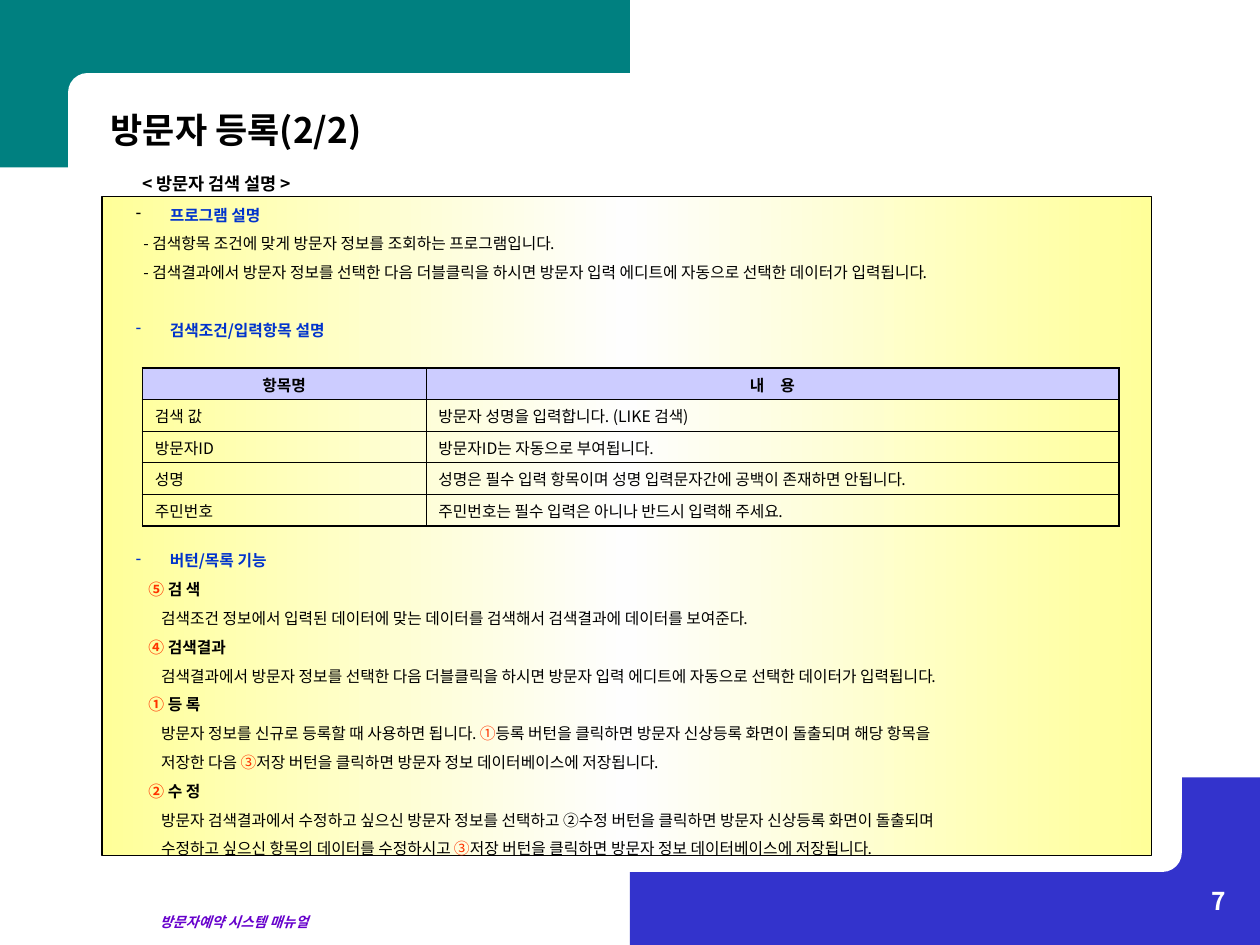
from copy import deepcopy

from lxml.etree import SubElement
from pptx import Presentation
from pptx.dml.color import RGBColor
from pptx.enum.shapes import MSO_SHAPE as Shape
from pptx.enum.text import PP_ALIGN as Align
from pptx.oxml.ns import qn
from pptx.util import Inches, Pt

FONT = "Noto Sans CJK KR"
COLORS = {
    "black": "000000", "white": "FFFFFF", "teal": "008080", "indigo": "3333CC",
    "yellow": "FFFF99", "glow": "FEFEFE", "lavender": "CCCCFF",
    "blue": "0033CC", "red": "FF3300", "purple": "6600CC",
}
LINE_RATIO = 1.207
BODY_SIZE = 9
BODY_GAP = 5.6
BODY_PITCH = BODY_SIZE * LINE_RATIO + BODY_GAP

STYLES = {
    "heading": {"indent": 0.27, "bold": True, "color": "blue"},
    "dash": {"indent": 0.06, "bold": False, "color": "black"},
    "item": {"indent": 0.1, "bold": True, "color": "black"},
    "detail": {"indent": 0.2, "bold": False, "color": "black"},
}
BODY = [
    ("heading", 0, "프로그램 설명"),
    ("dash", 0, "- 검색항목 조건에 맞게 방문자 정보를 조회하는 프로그램입니다."),
    ("dash", 0, "- 검색결과에서 방문자 정보를 선택한 다음 더블클릭을 하시면 방문자 입력 에디트에 자동으로 선택한 데이터가 입력됩니다."),
    ("heading", 1, "검색조건/입력항목 설명"),
    ("heading", 7, "버턴/목록 기능"),
    ("item", 0, "*⑤* 검 색"),
    ("detail", 0, "검색조건 정보에서 입력된 데이터에 맞는 데이터를 검색해서 검색결과에 데이터를 보여준다."),
    ("item", 0, "*④* 검색결과"),
    ("detail", 0, "검색결과에서 방문자 정보를 선택한 다음 더블클릭을 하시면 방문자 입력 에디트에 자동으로 선택한 데이터가 입력됩니다."),
    ("item", 0, "*①* 등 록"),
    ("detail", 0, "방문자 정보를 신규로 등록할 때 사용하면 됩니다. *①*등록 버턴을 클릭하면 방문자 신상등록 화면이 돌출되며 해당 항목을"),
    ("detail", 0, "저장한 다음 *③*저장 버턴을 클릭하면 방문자 정보 데이터베이스에 저장됩니다."),
    ("item", 0, "*②* 수 정"),
    ("detail", 0, "방문자 검색결과에서 수정하고 싶으신 방문자 정보를 선택하고 ②수정 버턴을 클릭하면 방문자 신상등록 화면이 돌출되며"),
    ("detail", 0, "수정하고 싶으신 항목의 데이터를 수정하시고 *③*저장 버턴을 클릭하면 방문자 정보 데이터베이스에 저장됩니다."),
]
FIELDS = [
    ("항목명", "내　용"),
    ("검색 값", "방문자 성명을 입력합니다. (LIKE 검색)"),
    ("방문자ID", "방문자ID는 자동으로 부여됩니다."),
    ("성명", "성명은 필수 입력 항목이며 성명 입력문자간에 공백이 존재하면 안됩니다."),
    ("주민번호", "주민번호는 필수 입력은 아니나 반드시 입력해 주세요."),
]


def rgb(name):
    return RGBColor.from_string(COLORS[name])


def style_paragraph(paragraph, size, color="black", bold=True, italic=False):
    font = paragraph.font
    font.name, font.size, font.bold, font.italic = FONT, Pt(size), bold, italic
    font.color.rgb = rgb(color)
    SubElement(font._element, qn("a:ea"), typeface=FONT)
    paragraph.line_spacing = Pt(round(size * LINE_RATIO, 2))


def add_block(slide, kind, box, color):
    shape = slide.shapes.add_shape(kind, *map(Inches, box))
    shape.shadow.inherit = False
    shape.fill.solid()
    shape.fill.fore_color.rgb = rgb(color)
    shape.line.fill.background()
    return shape


def add_panel(slide, box):
    panel = add_block(slide, Shape.RECTANGLE, box, "yellow")
    panel.line.color.rgb = rgb("black")
    panel.line.width = Pt(0.75)
    panel.fill.gradient()
    panel.fill.gradient_angle = 0
    edge, middle = panel.fill.gradient_stops
    edge.color.rgb = rgb("yellow")
    middle.color.rgb = rgb("glow")
    stops = panel._element.spPr.find(".//" + qn("a:gsLst"))
    stops.append(deepcopy(stops[0]))
    for stop, position in zip(stops, (0, 50000, 100000)):
        stop.set("pos", str(position))


def add_label(slide, box, text, size, color="black", italic=False, align=Align.LEFT):
    frame = slide.shapes.add_textbox(*map(Inches, box)).text_frame
    frame.word_wrap = True
    paragraph = frame.paragraphs[0]
    paragraph.text = text
    paragraph.alignment = align
    style_paragraph(paragraph, size, color, italic=italic)


def add_bullet(properties, color):
    bullet_color = SubElement(properties, qn("a:buClr"))
    SubElement(bullet_color, qn("a:srgbClr"), val=COLORS[color])
    SubElement(properties, qn("a:buChar"), char="-")


def add_body(slide, box):
    frame = slide.shapes.add_textbox(*map(Inches, box)).text_frame
    frame.word_wrap = True
    for index, (kind, skipped_lines, text) in enumerate(BODY):
        paragraph = frame.add_paragraph() if index else frame.paragraphs[0]
        style = STYLES[kind]
        paragraph.space_before = Pt(round(BODY_GAP + skipped_lines * BODY_PITCH, 2))
        properties = paragraph._p.get_or_add_pPr()
        properties.set("marL", str(Inches(style["indent"])))
        properties.set("indent", "0")
        if kind == "heading":
            properties.set("indent", str(-Inches(style["indent"])))
            add_bullet(properties, "blue" if index else "black")
        style_paragraph(paragraph, BODY_SIZE, style["color"], style["bold"])
        for position, part in enumerate(text.split("*")):
            if part:
                run = paragraph.add_run()
                run.text = part
                if position % 2:
                    run.font.color.rgb = rgb("red")


def set_borders(cell, outer_sides):
    properties = cell._tc.get_or_add_tcPr()
    for index, side in enumerate(("L", "R", "T", "B")):
        width = Pt(1.08 if side in outer_sides else 0.45)
        line = SubElement(properties, qn("a:ln" + side), w=str(width))
        fill = SubElement(line, qn("a:solidFill"))
        SubElement(fill, qn("a:srgbClr"), val=COLORS["black"])
        properties.remove(line)
        properties.insert(index, line)


def add_field_table(slide, box, widths):
    rows, columns = len(FIELDS), len(widths)
    table = slide.shapes.add_table(rows, columns, *map(Inches, box)).table
    table.first_row = table.horz_banding = False
    for column, width in zip(table.columns, widths):
        column.width = Inches(width)
    for r, texts in enumerate(FIELDS):
        for c, text in enumerate(texts):
            cell = table.cell(r, c)
            cell.margin_top, cell.margin_bottom = Inches(0.07), Inches(0.03)
            paragraph = cell.text_frame.paragraphs[0]
            paragraph.text = text
            style_paragraph(paragraph, BODY_SIZE, bold=r == 0)
            if r == 0:
                paragraph.alignment = Align.CENTER
                cell.fill.solid()
                cell.fill.fore_color.rgb = rgb("lavender")
            else:
                cell.fill.background()
            edges = {"L": c == 0, "R": c == columns - 1, "T": r == 0, "B": r == rows - 1}
            set_borders(cell, [side for side, outer in edges.items() if outer])


def main():
    presentation = Presentation()
    presentation.slide_width, presentation.slide_height = Inches(10), Inches(7.5)
    slide = presentation.slides.add_slide(presentation.slide_layouts[6])
    add_block(slide, Shape.RECTANGLE, (5, 6.17, 5, 1.33), "indigo")
    add_block(slide, Shape.RECTANGLE, (0, 0, 5, 1.33), "teal")
    add_block(slide, Shape.ROUNDED_RECTANGLE, (0.54, 0.58, 4.71, 0.92), "white")
    add_block(slide, Shape.ROUNDED_RECTANGLE, (4.75, 6, 4.63, 0.92), "white")
    add_label(slide, (1.17, 7.2, 2.25, 0.24), "방문자예약 시스템 매뉴얼", 8, "purple", italic=True)
    add_panel(slide, (0.81, 1.56, 8.33, 5.23))
    add_body(slide, (0.98, 1.58, 8, 5.28))
    add_label(slide, (1.03, 1.32, 1.6, 0.27), "< 방문자 검색 설명 >", 10)
    add_field_table(slide, (1.13, 2.92, 7.75, 1.25), (2.25, 5.5))
    add_label(slide, (0.78, 0.81, 2.52, 0.44), "방문자 등록(2/2)", 20)
    add_label(slide, (7.75, 6.98, 2.08, 0.5), "7", 14, "white", align=Align.RIGHT)
    presentation.save("out.pptx")


if __name__ == "__main__":
    main()
